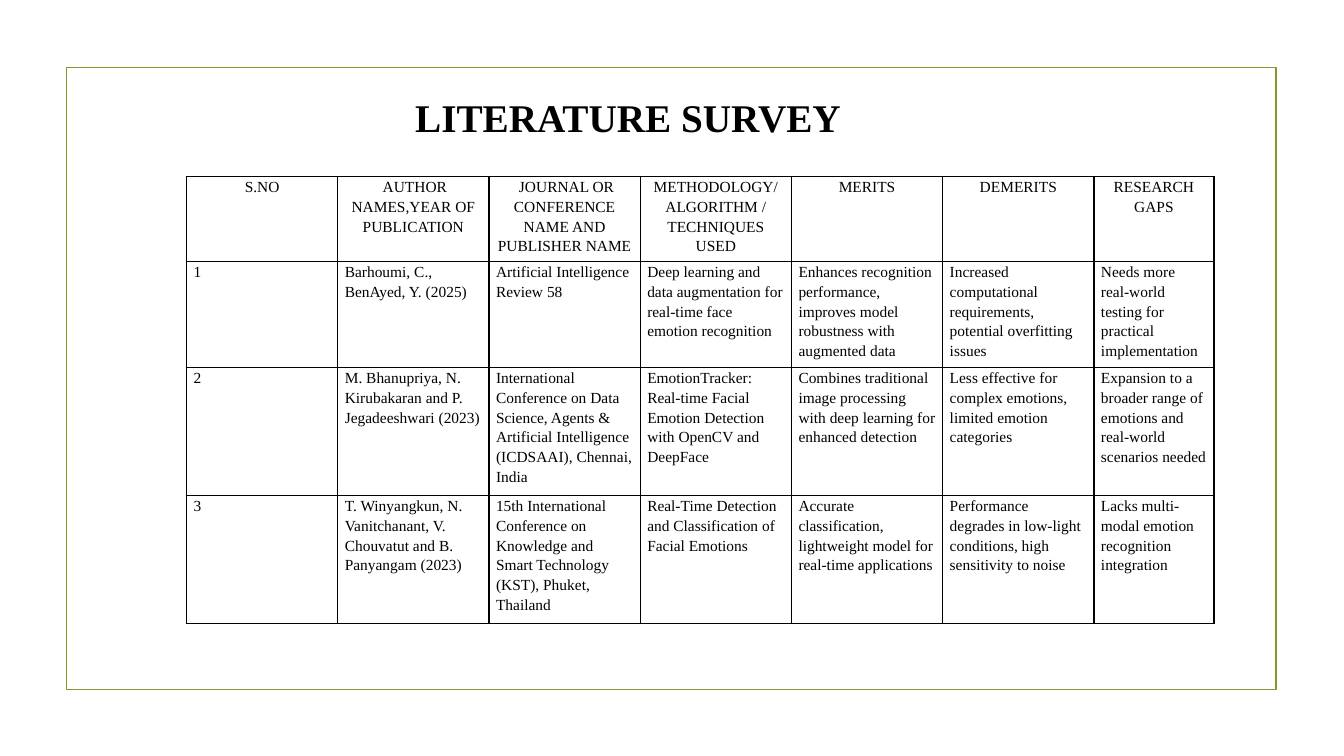
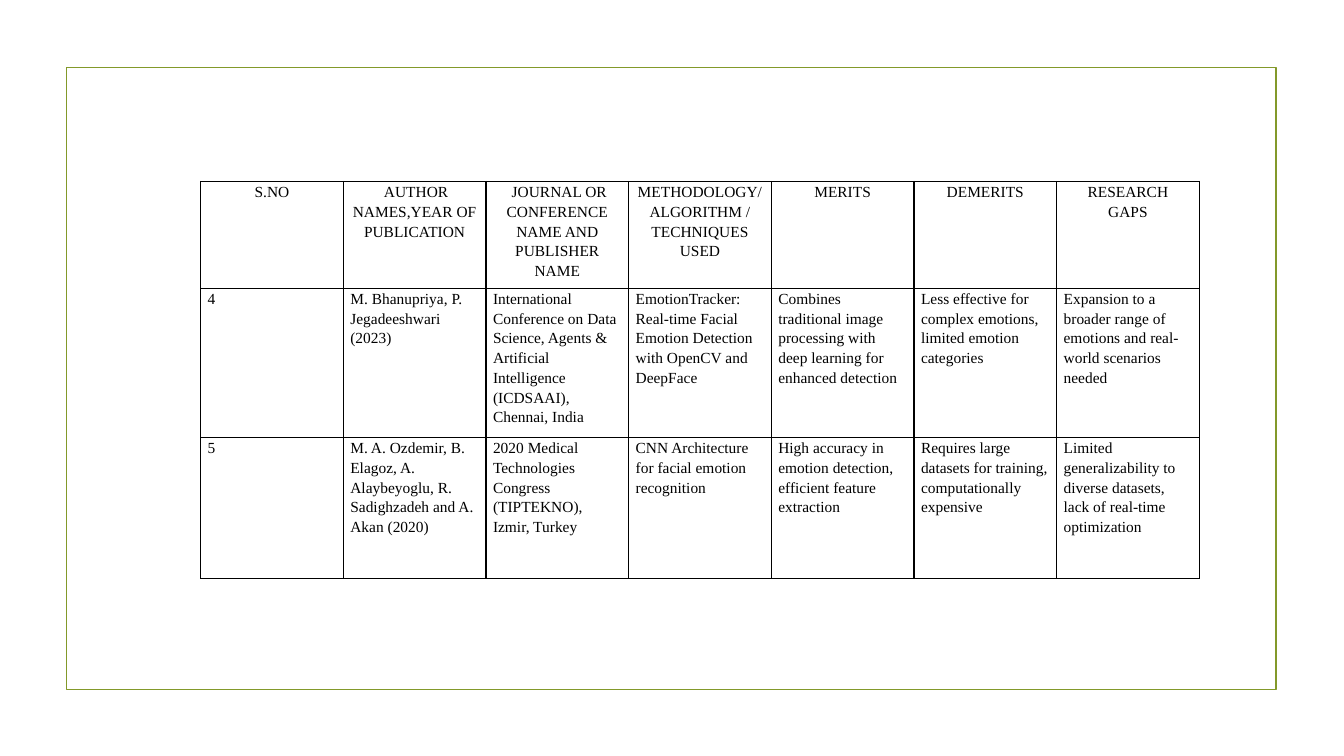
from lxml import etree
from pptx import Presentation
from pptx.dml.color import RGBColor
from pptx.enum.shapes import MSO_SHAPE as SHAPE
from pptx.enum.text import PP_ALIGN as ALIGN
from pptx.oxml.ns import qn
from pptx.util import Inches, Pt

COLORS = {"paper": "FFFFFF", "frame": "83992A", "ink": "000000"}
FONT = "Times New Roman"
FRAME_BOX = (0.66, 0.67, 12, 6.17)
TITLE_BOX = (4.02, 0.88, 4.63, 0.57)

HEADERS = [
    "S.NO",
    " AUTHOR NAMES,YEAR OF PUBLICATION",
    " JOURNAL OR CONFERENCE NAME AND PUBLISHER NAME",
    "METHODOLOGY/ ALGORITHM / TECHNIQUES USED",
    "MERITS",
    "DEMERITS",
    "RESEARCH\nGAPS",
]

# Venue and findings of the EmotionTracker paper, listed under two entries
EMOTION_TRACKER = [
    "International Conference on Data Science, Agents & Artificial Intelligence "
    "(ICDSAAI), Chennai, India",
    "EmotionTracker: Real-time Facial Emotion Detection with OpenCV and DeepFace",
    "Combines traditional image processing with deep learning for enhanced detection",
    "Less effective for complex emotions, limited emotion categories",
    "Expansion to a broader range of emotions and real-world scenarios needed",
]

PAPERS = [
    ["Barhoumi, C., BenAyed, Y. (2025)",
     "Artificial Intelligence Review 58",
     "Deep learning and data augmentation for real-time face emotion recognition",
     "Enhances recognition performance, improves model robustness with augmented data",
     "Increased computational requirements, potential overfitting issues",
     "Needs more real-world testing for practical implementation"],
    ["M. Bhanupriya, N. Kirubakaran and P. Jegadeeshwari (2023)", *EMOTION_TRACKER],
    ["T. Winyangkun, N. Vanitchanant, V. Chouvatut and B. Panyangam (2023)",
     "15th International Conference on Knowledge and Smart Technology (KST), "
     "Phuket, Thailand",
     "Real-Time Detection and Classification of Facial Emotions",
     "Accurate classification, lightweight model for real-time applications",
     "Performance degrades in low-light conditions, high sensitivity to noise",
     "Lacks multi-modal emotion recognition integration"],
    ["M. Bhanupriya, P. Jegadeeshwari (2023)", *EMOTION_TRACKER],
    ["M. A. Ozdemir, B. Elagoz, A. Alaybeyoglu, R. Sadighzadeh and A. Akan (2020)",
     "2020 Medical Technologies Congress (TIPTEKNO), Izmir, Turkey",
     "CNN Architecture for facial emotion recognition",
     "High accuracy in emotion detection, efficient feature extraction",
     "Requires large datasets for training, computationally expensive",
     "Limited generalizability to diverse datasets, lack of real-time optimization"],
]


def rgb(name):
    return RGBColor.from_string(COLORS[name])


def style(p, size, bold=False):
    p.font.name, p.font.size, p.font.bold = FONT, Pt(size), bold
    p.font.color.rgb = rgb("ink")


def add_frame(slide, box):
    sp = slide.shapes.add_shape(SHAPE.RECTANGLE, *map(Inches, box))
    sp.shadow.inherit = False
    sp.fill.background()
    sp.line.color.rgb = rgb("frame")
    sp.line.width = Pt(1.25)


def add_title(slide, box, text):
    tf = slide.shapes.add_textbox(*map(Inches, box)).text_frame
    tf.word_wrap = True
    tf.text = text
    style(tf.paragraphs[0], 28, bold=True)


def add_borders(cell):
    """Draw a 1 pt line on all four sides; the lines must precede the fill."""
    tc_pr = cell._tc.get_or_add_tcPr()
    for i, side in enumerate(("lnL", "lnR", "lnT", "lnB")):
        ln = etree.Element(qn(f"a:{side}"), w=str(Pt(1)))
        fill = etree.SubElement(ln, qn("a:solidFill"))
        etree.SubElement(fill, qn("a:srgbClr"), val=COLORS["ink"])
        tc_pr.insert(i, ln)


def fill_cell(cell, text, align):
    cell.margin_left = cell.margin_right = Inches(0.07)
    cell.margin_top = cell.margin_bottom = 0
    cell.fill.background()
    add_borders(cell)
    cell.text = text
    for p in cell.text_frame.paragraphs:
        p.alignment = align
        p.line_spacing = 1.15
        style(p, 11)


def add_survey_table(slide, left, top, widths, heights, first):
    """Tabulate one paper per body row, numbered from first."""
    papers = PAPERS[first - 1:first + len(heights) - 2]
    rows = [HEADERS] + [[str(n), *paper] for n, paper in enumerate(papers, first)]
    box = (left, top, sum(widths), sum(heights))
    table = slide.shapes.add_table(len(rows), len(widths), *map(Inches, box)).table
    table.first_row = table.horz_banding = False
    for col, width in zip(table.columns, widths):
        col.width = Inches(width)
    for row, height, texts in zip(table.rows, heights, rows):
        row.height = Inches(height)
        align = ALIGN.CENTER if texts is HEADERS else ALIGN.LEFT
        for cell, text in zip(row.cells, texts):
            fill_cell(cell, text, align)


def add_survey_slide(prs, left, top, widths, heights, first, title=None):
    slide = prs.slides.add_slide(prs.slide_layouts[6])
    slide.background.fill.solid()
    slide.background.fill.fore_color.rgb = rgb("paper")
    add_frame(slide, FRAME_BOX)
    if title:
        add_title(slide, TITLE_BOX, title)
    add_survey_table(slide, left, top, widths, heights, first)


def main():
    prs = Presentation()
    prs.slide_width, prs.slide_height = Inches(13.33), Inches(7.5)
    add_survey_slide(prs, 1.85, 1.75, [1.5] * 6 + [1.19],
                     [0.84, 1.05, 1.27, 1.27], first=1, title="LITERATURE SURVEY")
    add_survey_slide(prs, 1.99, 1.8, [1.415] * 7, [1.06, 1.48, 1.4], first=4)
    prs.save("out.pptx")


if __name__ == "__main__":
    main()
